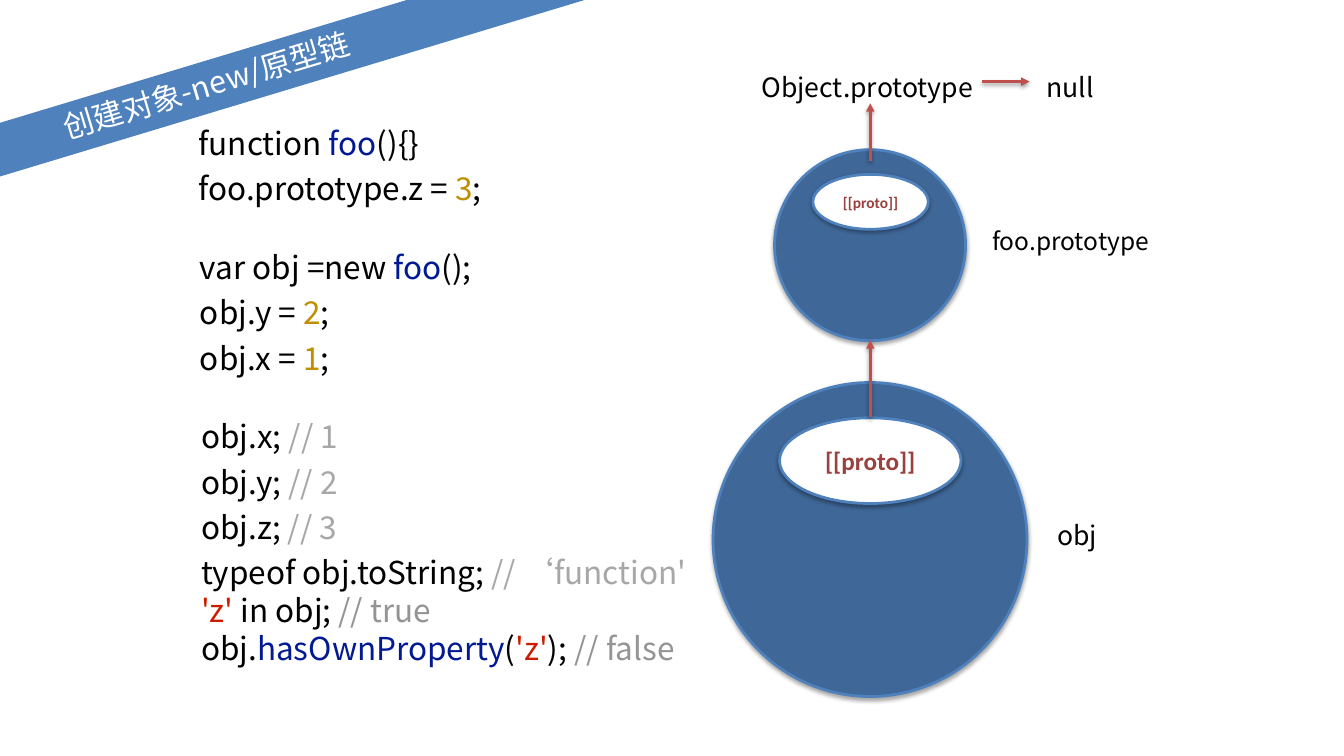
from lxml import etree
from pptx import Presentation
from pptx import util as u
from pptx.dml.color import RGBColor
from pptx.enum import shapes, text
from pptx.oxml.ns import qn

PX = 9144  # 100 px to the inch
CJK, LATIN = "Noto Sans CJK SC", "Calibri"

WHITE = RGBColor(0xFF, 0xFF, 0xFF)
BLACK = RGBColor(0x00, 0x00, 0x00)
BLUE = RGBColor(0x4F, 0x81, 0xBD)
DEEP_BLUE = RGBColor(0x3F, 0x67, 0x97)
ARROW_RED = RGBColor(0xC0, 0x50, 0x4D)
PROTO_RED = RGBColor(0x9A, 0x40, 0x3E)
NAME = RGBColor(0x02, 0x19, 0x94)
NUMBER = RGBColor(0xBF, 0x8F, 0x00)
STRING = RGBColor(0xCD, 0x1D, 0x00)
COMMENT = RGBColor(0xA7, 0xA7, 0xA7)
DARK_COMMENT = RGBColor(0x95, 0x93, 0x95)


def add_shadow(shape, opacity):
    properties = shape._element.spPr
    effects = etree.SubElement(properties, qn("a:effectLst"))
    shadow = etree.SubElement(effects, qn("a:outerShdw"), blurRad=str(u.Pt(6)),
                              dist=str(u.Pt(3)), dir="5400000", rotWithShape="0")
    color = etree.SubElement(shadow, qn("a:srgbClr"), val="000000")
    etree.SubElement(color, qn("a:alpha"), val=str(opacity * 1000))


def add_run(paragraph, words, size, color, font=CJK):
    run = paragraph.add_run()
    run.text = words
    run.font.size = u.Pt(size)
    run.font.name = font
    run.font.color.rgb = color
    etree.SubElement(run._r.get_or_add_rPr(), qn("a:ea"), typeface=font)
    return run


deck = Presentation()
deck.slide_width, deck.slide_height = 2667 * PX, 1500 * PX
slide = deck.slides.add_slide(deck.slide_layouts[5])

# Slanted title band
title = slide.shapes.title
title.left, title.top, title.width, title.height = -499 * PX, 122 * PX, 1819 * PX, 102 * PX
title.rotation = 343.2
title.fill.solid()
title.fill.fore_color.rgb = BLUE
frame = title.text_frame
frame.auto_size = text.MSO_AUTO_SIZE.NONE
frame.vertical_anchor = text.MSO_ANCHOR.MIDDLE
frame.margin_left = frame.margin_right = frame.margin_top = frame.margin_bottom = 0
heading = frame.paragraphs[0]
heading.alignment = text.PP_ALIGN.CENTER
heading.line_spacing = 0.9
add_run(heading, "创建对象-new/原型链", 43.8, WHITE)

# Objects, each with its [[proto]] slot
for left, top, width, height, fill, slot_size in [
    (1415, 759, 623, 623, DEEP_BLUE, None),
    (1547, 829, 360, 170, WHITE, 36),
    (1537, 297, 379, 379, DEEP_BLUE, None),
    (1613, 346, 229, 109, WHITE, 22),
]:
    oval = slide.shapes.add_shape(shapes.MSO_SHAPE.OVAL, left * PX, top * PX,
                                  width * PX, height * PX)
    oval.fill.solid()
    oval.fill.fore_color.rgb = fill
    oval.line.color.rgb = BLUE
    oval.line.width = u.Pt(4)
    add_shadow(oval, 35)
    if slot_size:
        frame = oval.text_frame
        frame.margin_left = frame.margin_right = frame.margin_top = frame.margin_bottom = 0
        frame.vertical_anchor = text.MSO_ANCHOR.MIDDLE
        frame.word_wrap = False
        slot = frame.paragraphs[0]
        slot.alignment = text.PP_ALIGN.CENTER
        add_run(slot, "[[proto]]", slot_size, PROTO_RED, LATIN).font.bold = True

# Prototype chain arrows
for x1, y1, x2, y2 in [(1727, 828, 1727, 675), (1727, 320, 1727, 205), (1949, 162, 2043, 162)]:
    arrow = slide.shapes.add_connector(shapes.MSO_CONNECTOR.STRAIGHT,
                                       x1 * PX, y1 * PX, x2 * PX, y2 * PX)
    arrow.line.color.rgb = ARROW_RED
    arrow.line.width = u.Pt(4)
    etree.SubElement(arrow.line._get_or_add_ln(), qn("a:tailEnd"), type="triangle")
    add_shadow(arrow, 38)

# Labels of the chain
chain_labels = [
    ("obj", 2086, 1026, 103, 89, 38, 0.9),
    ("foo.prototype", 1953, 445, 343, 84, 35, 0.9),
    ("Object.prototype", 1501, 118, 452, 89, 38, 1.2),
    ("null", 2067, 118, 115, 89, 38, 1.2),
]
# Code listings: box, inset, then lines of (words, colour) with their spacing
definition = [
    (1.2, [("function ", BLACK), ("foo", NAME), ("(){}", BLACK)]),
    (1.2, [("foo.prototype.z = ", BLACK), ("3", NUMBER), (";", BLACK)]),
]
creation = [
    (1.2, [("var obj =new ", BLACK), ("foo", NAME), ("();", BLACK)]),
    (1.2, [("obj.y = ", BLACK), ("2", NUMBER), (";", BLACK)]),
    (1.2, [("obj.x = ", BLACK), ("1", NUMBER), (";", BLACK)]),
]
lookups = [
    (1.2, [("obj.x; ", BLACK), ("// 1", COMMENT)]),
    (1.2, [("obj.y; ", BLACK), ("// 2", COMMENT)]),
    (1.2, [("obj.z; ", BLACK), ("// 3", COMMENT)]),
    (1.2, [("typeof obj.toString; ", BLACK), ("// ‘function'", COMMENT)]),
    (1.0, [("'z'", STRING), (" in obj; ", BLACK), ("// true", DARK_COMMENT)]),
    (1.0, [("obj.", BLACK), ("hasOwnProperty", NAME), ("(", BLACK), ("'z'", STRING),
           ("); ", BLACK), ("// false", DARK_COMMENT)]),
]
text_blocks = [
    (384, 221, 615, 203, 10, 45, definition),
    (387, 467, 609, 303, 10, 45, creation),
    (399, 813, 1029, 587, 0, 45, lookups),
]
for words, left, top, width, height, size, spacing in chain_labels:
    text_blocks.append((left, top, width, height, 10, size, [(spacing, [(words, BLACK)])]))

for left, top, width, height, inset, size, lines in text_blocks:
    box = slide.shapes.add_textbox(left * PX, top * PX, width * PX, height * PX)
    frame = box.text_frame
    frame.word_wrap = False
    frame.auto_size = text.MSO_AUTO_SIZE.SHAPE_TO_FIT_TEXT
    frame.margin_left = frame.margin_right = inset * PX
    frame.margin_top = frame.margin_bottom = inset * PX
    for number, (spacing, runs) in enumerate(lines):
        line = frame.add_paragraph() if number else frame.paragraphs[0]
        line.line_spacing = spacing
        line.alignment = text.PP_ALIGN.CENTER if spacing == 0.9 else text.PP_ALIGN.LEFT
        for words, color in runs:
            add_run(line, words, size, color)

deck.save("out.pptx")
